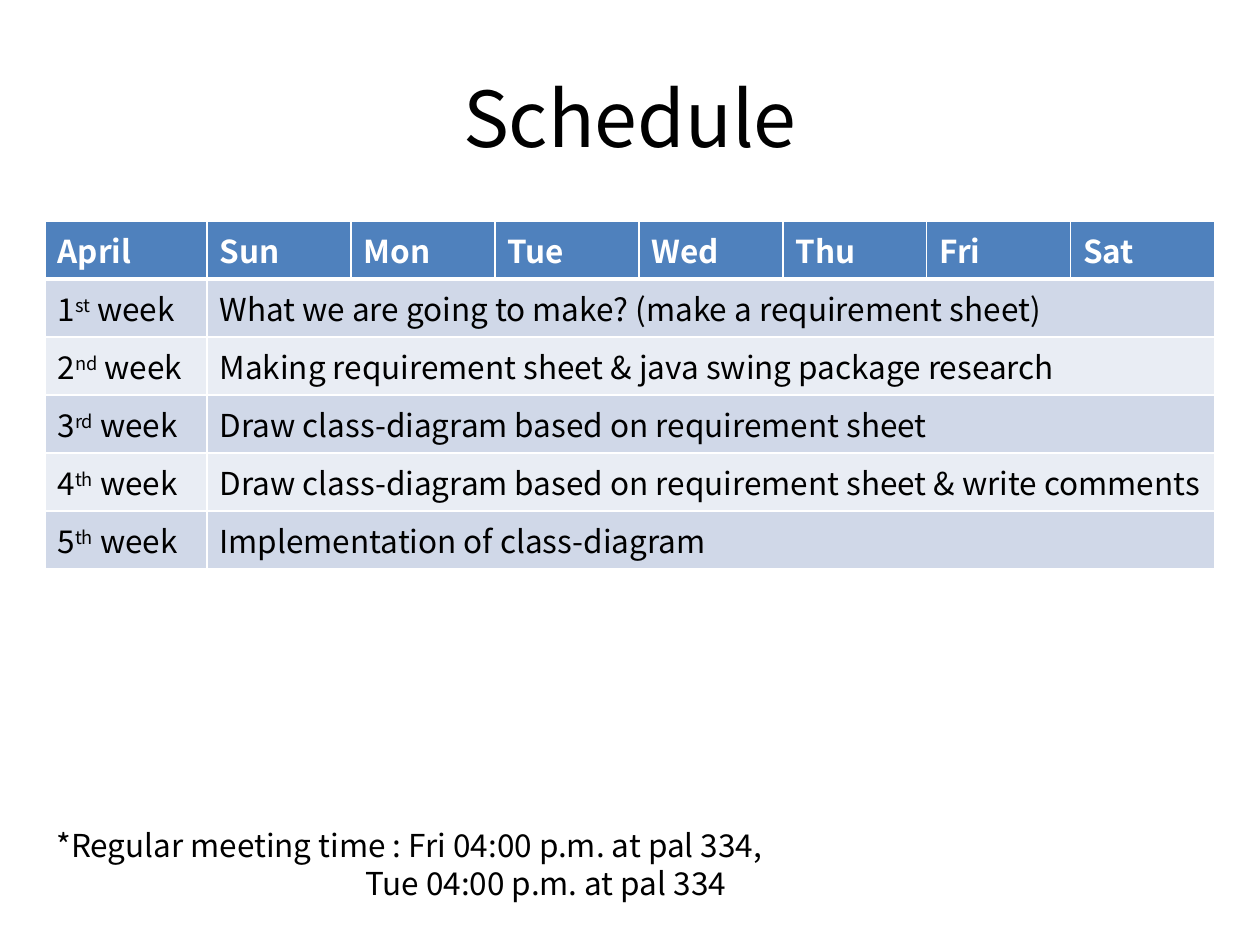
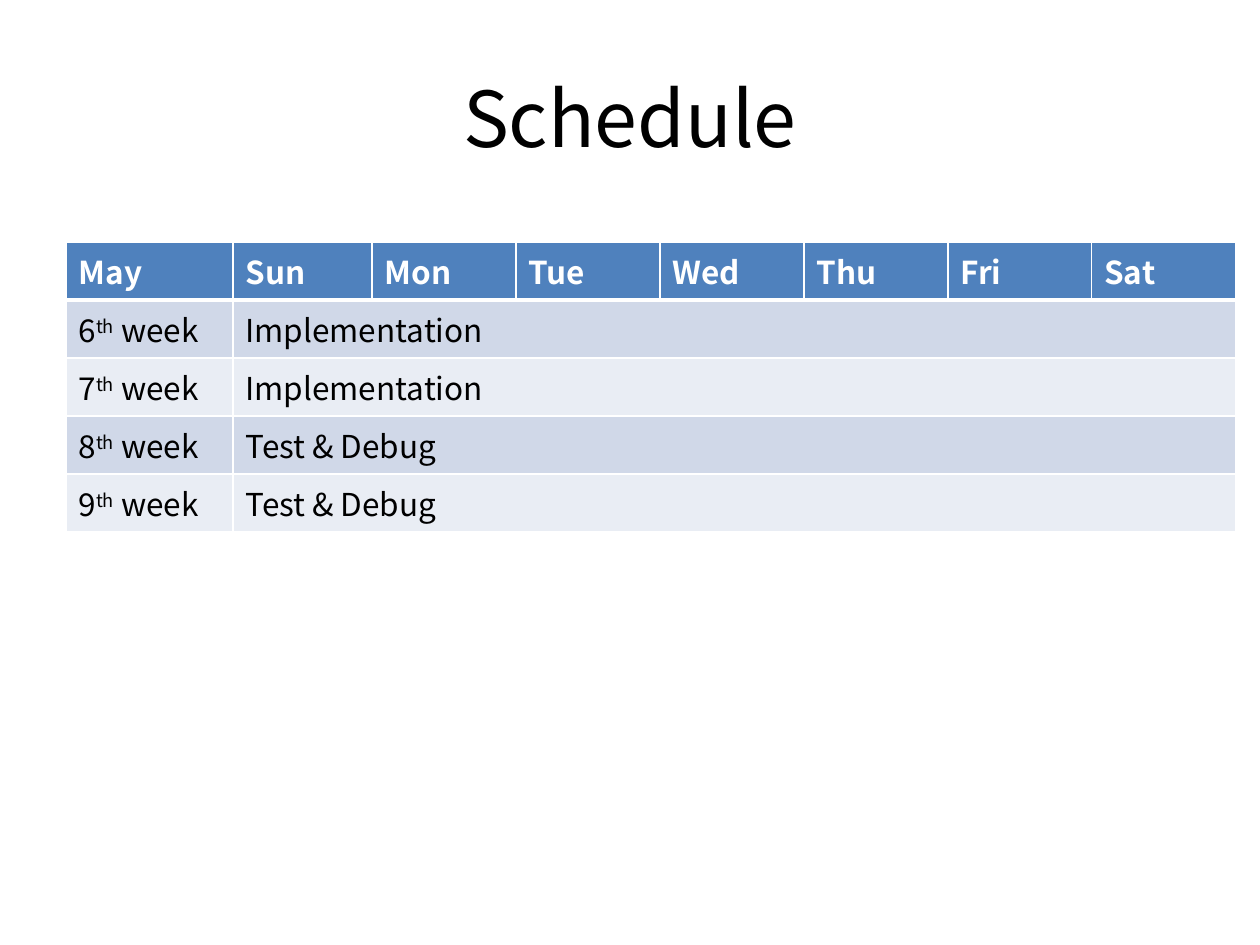
"""Build the two monthly schedule slides."""
from dataclasses import dataclass

from lxml import etree
from pptx import Presentation
from pptx.dml.color import RGBColor
from pptx.enum.text import MSO_ANCHOR, PP_ALIGN
from pptx.util import Pt

MIDDLE = MSO_ANCHOR.MIDDLE
CENTER = PP_ALIGN.CENTER
PX = 914400 // 126
DRAWING = "http://schemas.openxmlformats.org/drawingml/2006/main"


@dataclass(frozen=True)
class Theme:
    font: str = "Noto Sans CJK KR"
    ink: str = "000000"
    paper: str = "FFFFFF"
    header: str = "4F81BD"
    bands: tuple = ("D0D8E8", "E9EDF4")
    title_size: int = 44
    body_size: int = 18
    rule: int = 1
    header_rule: int = 3


theme = Theme()


def style(paragraph, size, color, bold=False):
    paragraph.font.name = theme.font
    paragraph.font.size = Pt(size)
    paragraph.font.bold = bold
    paragraph.font.color.rgb = RGBColor.from_string(color)


def paint(cell, fill, top, bottom):
    properties = cell._tc.get_or_add_tcPr()
    for side, width in (("L", theme.rule), ("R", theme.rule), ("T", top), ("B", bottom)):
        border = etree.SubElement(properties, f"{{{DRAWING}}}ln{side}", w=str(Pt(width)))
        solid = etree.SubElement(border, f"{{{DRAWING}}}solidFill")
        etree.SubElement(solid, f"{{{DRAWING}}}srgbClr", val=theme.paper)
    cell.fill.solid()
    cell.fill.fore_color.rgb = RGBColor.from_string(fill)


days = ["Sun", "Mon", "Tue", "Wed", "Thu", "Fri", "Sat"]
row_height = 58
months = [
    ("April", 45, 221, [162] + [144] * 7, [
        ("1", "st", "What we are going to make? (make a requirement sheet)"),
        ("2", "nd", "Making requirement sheet & java swing package research"),
        ("3", "rd", "Draw class-diagram based on requirement sheet"),
        ("4", "th", "Draw class-diagram based on requirement sheet & write comments"),
        ("5", "th", "Implementation of class-diagram"),
    ], [
        ("*Regular meeting time : Fri 04:00 p.m. at pal 334,", 0),
        ("Tue 04:00 p.m. at pal 334", 309),
    ]),
    ("May", 66, 242, [167, 139] + [144] * 6, [
        ("6", "th", "Implementation"),
        ("7", "th", "Implementation"),
        ("8", "th", "Test & Debug"),
        ("9", "th", "Test & Debug"),
    ], []),
]

deck = Presentation()
deck.slide_width = 1260 * PX
deck.slide_height = 945 * PX

for month, left, top, widths, weeks, meetings in months:
    slide = deck.slides.add_slide(deck.slide_layouts[6])

    title = slide.shapes.add_textbox(63 * PX, 38 * PX, 1134 * PX, 157 * PX).text_frame
    title.word_wrap = True
    title.vertical_anchor = MIDDLE
    heading = title.paragraphs[0]
    heading.text = "Schedule"
    heading.alignment = CENTER
    style(heading, theme.title_size, theme.ink)

    row_count = len(weeks) + 1
    calendar = slide.shapes.add_table(
        row_count, len(widths), left * PX, top * PX,
        sum(widths) * PX, row_count * row_height * PX).table
    for column, width in zip(calendar.columns, widths):
        column.width = width * PX
    for row in calendar.rows:
        row.height = row_height * PX

    for index, label in enumerate([month] + days):
        cell = calendar.cell(0, index)
        cell.text = label
        style(cell.text_frame.paragraphs[0], theme.body_size, theme.paper, bold=True)
        paint(cell, theme.header, theme.rule, theme.header_rule)

    for number, (digit, ordinal, task) in enumerate(weeks, 1):
        week_cell, task_cell = calendar.cell(number, 0), calendar.cell(number, 1)
        task_cell.merge(calendar.cell(number, len(days)))
        task_cell.text = task
        week_line = week_cell.text_frame.paragraphs[0]
        for part in (digit, ordinal, " week"):
            week_line.add_run().text = part
        week_line.runs[1].font._element.set("baseline", "30000")
        for cell in (week_cell, task_cell):
            style(cell.text_frame.paragraphs[0], theme.body_size, theme.ink)
        for index in range(len(widths)):
            paint(calendar.cell(number, index), theme.bands[(number - 1) % 2],
                  theme.header_rule if number == 1 else theme.rule, theme.rule)

    if meetings:
        note = slide.shapes.add_textbox(44 * PX, 820 * PX, 747 * PX, 89 * PX).text_frame
        note.word_wrap = True
        for index, (meeting, indent) in enumerate(meetings):
            line = note.add_paragraph() if index else note.paragraphs[0]
            line.text = meeting
            style(line, theme.body_size, theme.ink)
            line._p.get_or_add_pPr().set("marL", str(indent * PX))

deck.save("out.pptx")
